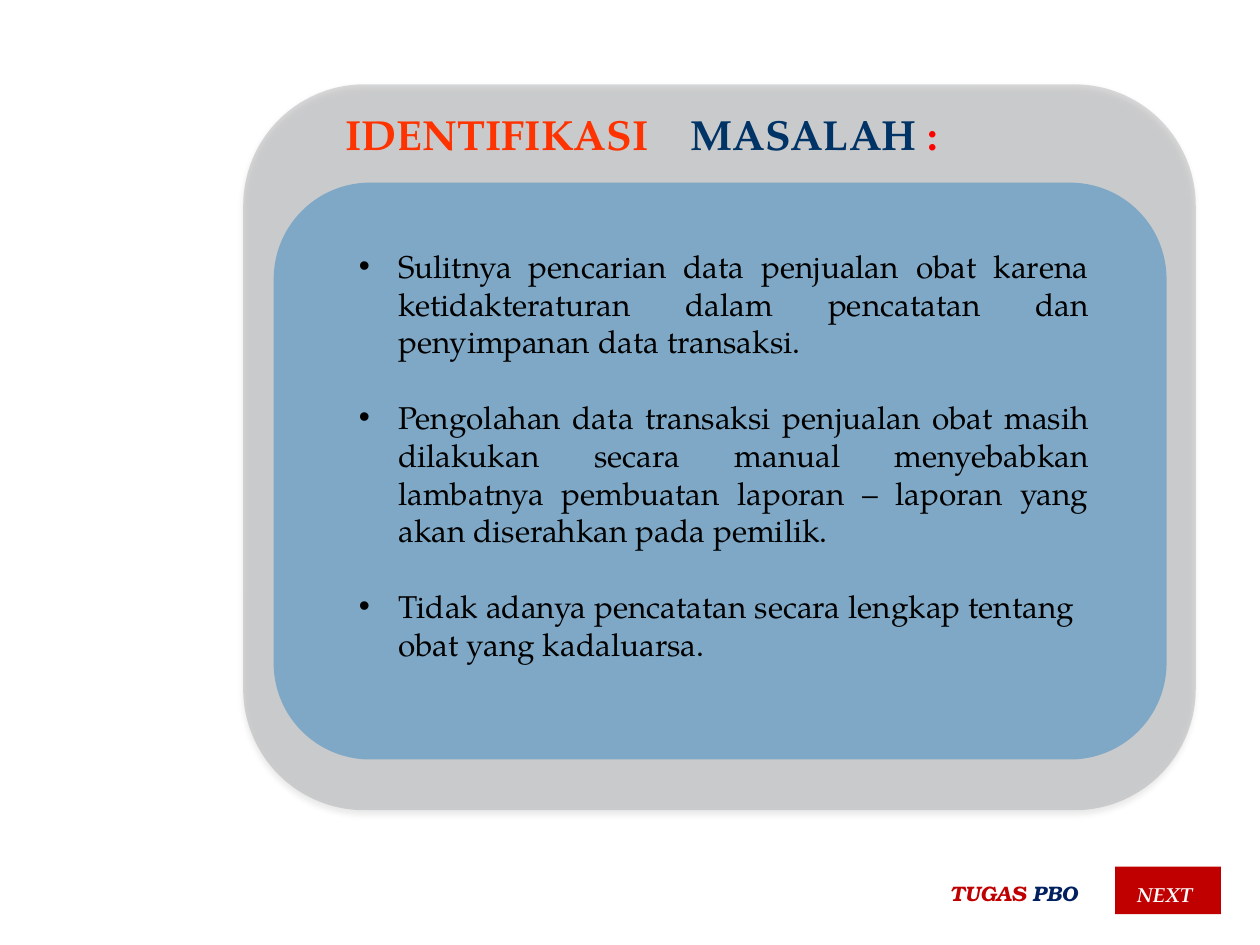
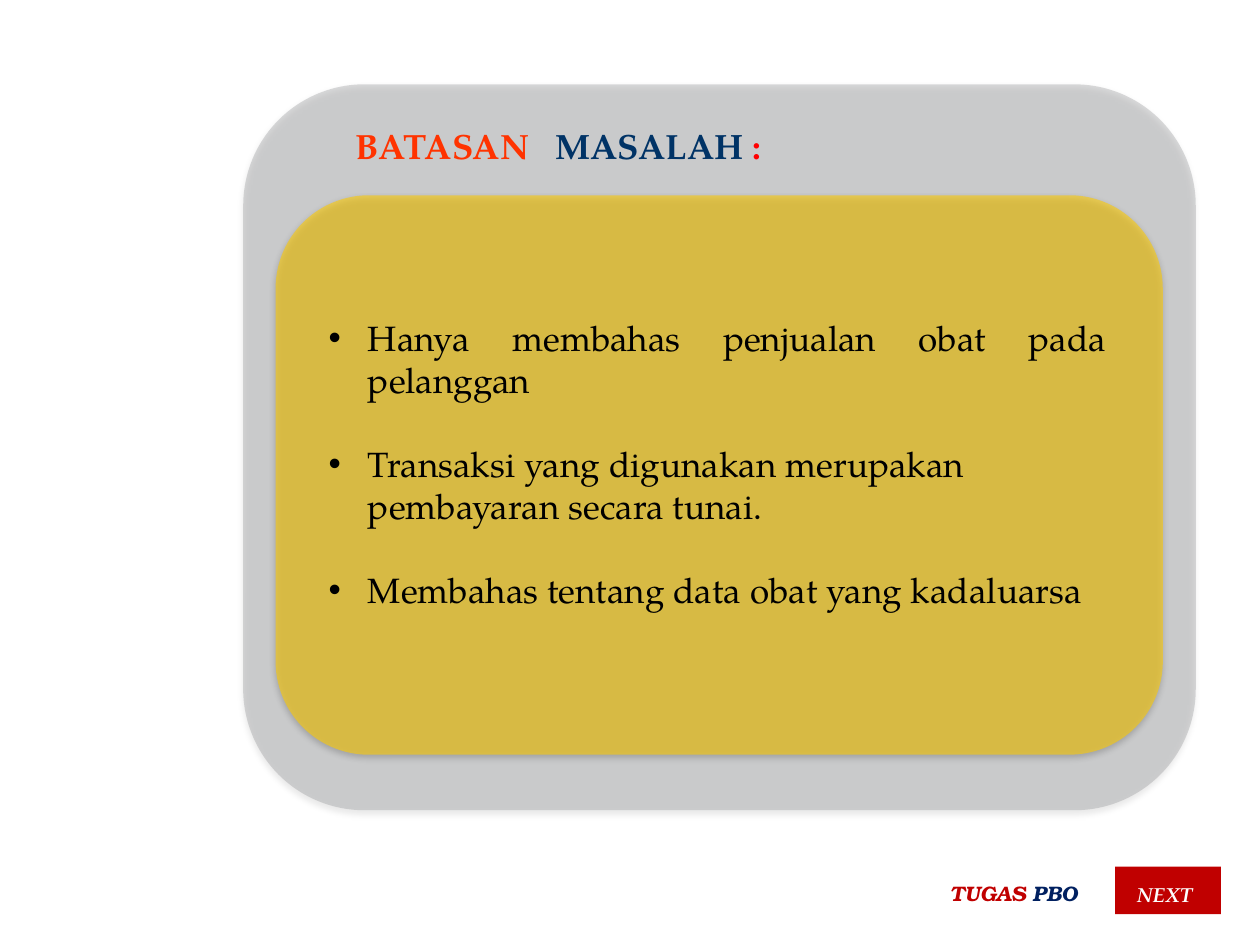
from dataclasses import dataclass
from typing import NamedTuple

from lxml import etree
from pptx import Presentation
from pptx.dml.color import RGBColor
from pptx.enum import shapes, text
from pptx.oxml import ns
from pptx.util import Pt

SERIF = "TeX Gyre Pagella"
FOOTER_FONT = "TeX Gyre Bonum"
ORANGE, NAVY, RED = "FF3300", "003366", "FF0000"
DARK_RED, DARK_BLUE = "C00000", "002060"
BLACK, WHITE, GREY = "000000", "FDFDFD", "797B7E"
BULLET_INDENT = 22.5


class Box(NamedTuple):
    left: float
    top: float
    width: float
    height: float

    def lengths(self) -> list:
        return [Pt(v) for v in self]


class Panel(NamedTuple):
    box: Box
    color: str
    opacity: int
    shadow: bool


class Bullet(NamedTuple):
    words: str
    justified: bool = False


@dataclass
class ProblemSlide:
    heading: str
    heading_box: Box
    heading_size: int
    heading_tab: float
    panel: Panel
    list_box: Box
    list_size: int
    bullets: list[Bullet]


FRAME = Panel(Box(139, 48.2, 544.3, 414.8), GREY, 27, True)
FOOTER_BOX = Box(535.7, 499.7, 92.9, 21.6)
NEXT_BOX = Box(637.2, 495.2, 60.5, 27.2)

SLIDES = [
    ProblemSlide(
        "IDENTIFIKASI", Box(190.1, 58.3, 356.4, 36), 24, 197.5,
        Panel(Box(156.4, 104.4, 510.2, 329.6), "0070C0", 37, False),
        Box(198, 137.5, 431.3, 247), 18,
        [Bullet("Sulitnya pencarian data penjualan obat karena ketidakteraturan "
                "dalam pencatatan dan penyimpanan data transaksi.", True),
         Bullet("Pengolahan data transaksi penjualan obat masih dilakukan secara "
                "manual menyebabkan lambatnya pembuatan laporan – laporan yang "
                "akan diserahkan pada pemilik.", True),
         Bullet("Tidak adanya pencatatan secara lengkap tentang obat yang kadaluarsa.")]),
    ProblemSlide(
        "BATASAN", Box(196.2, 67.7, 251.3, 31.7), 20, 114,
        Panel(Box(157.5, 111.6, 507, 319.7), "FFCC00", 58, True),
        Box(180.7, 177.1, 458.6, 177.1), 20,
        [Bullet("Hanya membahas penjualan obat pada pelanggan", True),
         Bullet("Transaksi yang digunakan merupakan pembayaran secara tunai."),
         Bullet("Membahas tentang data obat yang kadaluarsa")]),
]


def rgb(color: str) -> RGBColor:
    return RGBColor.from_string(color)


def add_child(parent, tag: str, **attrs):
    return etree.SubElement(parent, ns.qn(tag), {k: str(v) for k, v in attrs.items()})


def set_font(font, name: str, size: float, bold=False, italic=False) -> None:
    font.name, font.size, font.bold, font.italic = name, Pt(size), bold, italic


def add_runs(p, *parts: tuple[str, str]) -> None:
    for words, color in parts:
        r = p.add_run()
        r.text = words
        r.font.color.rgb = rgb(color)


def add_block(slide, kind, box: Box, color: str):
    sp = slide.shapes.add_shape(kind, *box.lengths())
    sp.shadow.inherit = False
    sp.fill.solid()
    sp.fill.fore_color.rgb = rgb(color)
    sp.line.fill.background()
    return sp


def add_panel(slide, panel: Panel) -> None:
    sp = add_block(slide, shapes.MSO_SHAPE.ROUNDED_RECTANGLE, panel.box, panel.color)
    sp.adjustments[0] = 0.167
    sp_pr = sp.element.spPr
    add_child(sp_pr.find(ns.qn("a:solidFill"))[0], "a:alpha", val=panel.opacity * 1000)
    if panel.shadow:
        shadow = add_child(sp_pr.find(ns.qn("a:effectLst")), "a:outerShdw",
                           blurRad=Pt(3.5), dist=Pt(2.2), dir=90 * 60000, rotWithShape=0)
        add_child(add_child(shadow, "a:srgbClr", val=BLACK), "a:alpha", val=32000)


def add_text_frame(slide, box: Box):
    tf = slide.shapes.add_textbox(*box.lengths()).text_frame
    tf.word_wrap = True
    return tf


def set_heading(slide, content: ProblemSlide) -> None:
    sp = slide.shapes.title
    sp.left, sp.top, sp.width, sp.height = content.heading_box.lengths()
    tf = sp.text_frame
    tf.word_wrap = True
    tf.auto_size = text.MSO_AUTO_SIZE.NONE
    tf.vertical_anchor = text.MSO_ANCHOR.TOP
    p = tf.paragraphs[0]
    p.alignment = text.PP_ALIGN.LEFT
    p.space_before = Pt(0)
    # The second word starts at a tab stop
    tabs = etree.Element(ns.qn("a:tabLst"))
    add_child(tabs, "a:tab", pos=Pt(content.heading_tab), algn="l")
    p.line_spacing = 1.0
    p._p.get_or_add_pPr().append(tabs)
    set_font(p.font, SERIF, content.heading_size, bold=True)
    add_runs(p, (content.heading + "\t", ORANGE), ("MASALAH ", NAVY), (":", RED))
    # Bring the heading in front of the panels
    sp.element.getparent().append(sp.element)


def add_bullets(slide, content: ProblemSlide) -> None:
    tf = add_text_frame(slide, content.list_box)
    for i, bullet in enumerate(content.bullets):
        p = tf.paragraphs[0] if i == 0 else tf.add_paragraph()
        p.alignment = text.PP_ALIGN.JUSTIFY if bullet.justified else text.PP_ALIGN.LEFT
        if i:
            p.space_before = Pt(1.2 * content.list_size)
        p_pr = p._p.get_or_add_pPr()
        p_pr.set("marL", str(Pt(BULLET_INDENT)))
        p_pr.set("indent", str(-Pt(BULLET_INDENT)))
        add_child(p_pr, "a:buFont", typeface="Arial")
        add_child(p_pr, "a:buChar", char="•")
        set_font(p.font, SERIF, content.list_size)
        add_runs(p, (bullet.words, BLACK))


def add_footer(slide) -> None:
    p = add_text_frame(slide, FOOTER_BOX).paragraphs[0]
    set_font(p.font, FOOTER_FONT, 12, bold=True, italic=True)
    add_runs(p, ("TUGAS ", DARK_RED), ("PBO", DARK_BLUE))


def add_next_button(slide) -> None:
    sp = add_block(slide, shapes.MSO_SHAPE.RECTANGLE, NEXT_BOX, DARK_RED)
    tf = sp.text_frame
    tf.margin_left = tf.margin_top = tf.margin_right = tf.margin_bottom = 0
    tf.vertical_anchor = text.MSO_ANCHOR.MIDDLE
    p = tf.paragraphs[0]
    p.alignment = text.PP_ALIGN.LEFT
    p.line_spacing = 0.96
    p._p.get_or_add_pPr().set("marL", str(Pt(12.5)))
    set_font(p.font, SERIF, 20, bold=True, italic=True)
    add_runs(p, ("NEXT", WHITE))
    # A slight superscript gives the small label
    p.runs[0].font._element.set("baseline", "1000")


def build_slide(prs, content: ProblemSlide) -> None:
    slide = prs.slides.add_slide(prs.slide_layouts.get_by_name("Title Only"))
    add_panel(slide, FRAME)
    add_footer(slide)
    add_panel(slide, content.panel)
    set_heading(slide, content)
    add_bullets(slide, content)
    add_next_button(slide)


def main() -> None:
    prs = Presentation()
    prs.slide_width, prs.slide_height = Pt(720), Pt(540)
    for content in SLIDES:
        build_slide(prs, content)
    prs.save("out.pptx")


if __name__ == "__main__":
    main()
